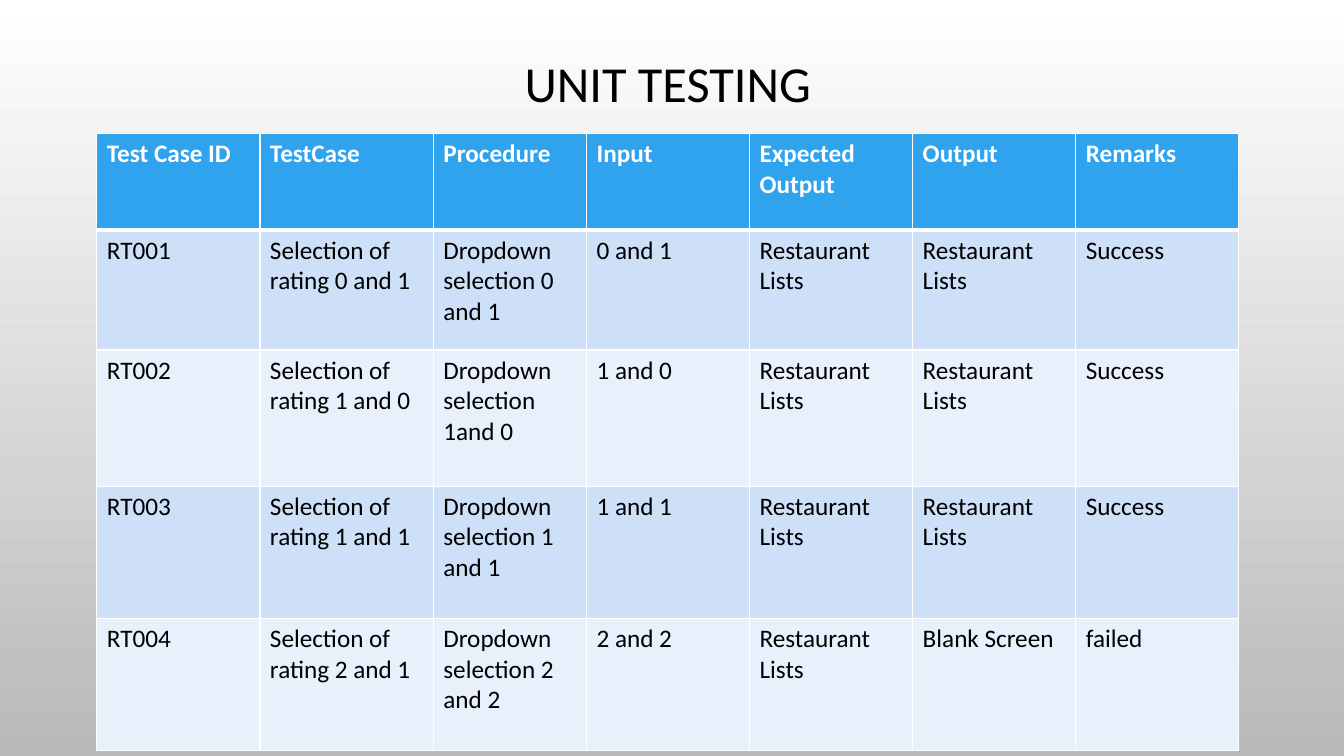
from lxml.etree import SubElement as Sub
from pptx import Presentation
from pptx.dml.color import RGBColor as Rgb
from pptx.enum.text import MSO_ANCHOR as Anchor, PP_ALIGN as Align
from pptx.oxml.ns import qn
from pptx.util import Cm, Pt

COLORS = {
    "white": "FFFFFF",
    "grey": "B9B9B9",
    "black": "000000",
    "head": "2FA3EE",
    "odd": "CDE0F8",
    "even": "E8F0FC",
}
FONT = "Calibri"
LEFT, WIDTH = 2.44, 28.78
COLS = [4.11, 4.37, 3.86] + [4.11] * 4
ROWS = [2.44, 3.02, 3.43, 3.33, 3.33]
HEADS = ["Test Case ID", "TestCase", "Procedure", "Input",
         "Expected Output", "Output", "Remarks"]
LISTS = "Restaurant Lists"
CASES = [
    ["RT001", "Selection of rating 0 and 1", "Dropdown selection 0 and 1",
     "0 and 1", LISTS, LISTS, "Success"],
    ["RT002", "Selection of rating 1 and 0", "Dropdown selection 1and 0",
     "1 and 0", LISTS, LISTS, "Success"],
    ["RT003", "Selection of rating 1 and 1", "Dropdown selection 1 and 1",
     "1 and 1", LISTS, LISTS, "Success"],
    ["RT004", "Selection of rating 2 and 1", "Dropdown selection 2 and 2",
     "2 and 2", LISTS, "Blank Screen", "failed"],
]


def tint(name):
    return Rgb.from_string(COLORS[name])


def write(frame, text, size=18, color="black", bold=False,
          align=Align.LEFT, space=1.0):
    frame.word_wrap = True
    para = frame.paragraphs[0]
    para.alignment, para.line_spacing = align, space
    run = para.add_run()
    run.text = text
    font = run.font
    font.name, font.size, font.bold = FONT, Pt(size), bold
    font.color.rgb = tint(color)


def edge(cell, top, bottom):
    """Draw white borders; top and bottom are widths in points."""
    props = cell._tc.get_or_add_tcPr()
    for side, width in zip("LRTB", (1, 1, top, bottom)):
        line = Sub(props, qn(f"a:ln{side}"), w=str(Pt(width)))
        fill = Sub(line, qn("a:solidFill"))
        Sub(fill, qn("a:srgbClr"), val=COLORS["white"])


class Deck:
    def __init__(self):
        self.show = Presentation()
        self.show.slide_width = Cm(33.87)
        self.show.slide_height = Cm(19.05)
        self.slide = self.show.slides.add_slide(self.show.slide_layouts[5])

    def back(self, start, end):
        fill = self.slide.background.fill
        fill.gradient()
        fill.gradient_angle = 270
        for stop, name, place in zip(fill.gradient_stops, (start, end), (0, 1)):
            stop.color.rgb = tint(name)
            stop.position = place

    def title(self, text):
        box = self.slide.shapes.title
        box.left, box.top = Cm(LEFT), Cm(0.94)
        box.width, box.height = Cm(WIDTH), Cm(2.44)
        box.text_frame.vertical_anchor = Anchor.MIDDLE
        write(box.text_frame, text, size=36, align=Align.CENTER, space=0.9)

    def table(self, data):
        grid = self.slide.shapes.add_table(
            len(ROWS), len(COLS), Cm(LEFT), Cm(3.36),
            Cm(WIDTH), Cm(sum(ROWS))).table
        for col, width in zip(grid.columns, COLS):
            col.width = Cm(width)
        for i, (row, height, texts) in enumerate(zip(grid.rows, ROWS, data)):
            row.height = Cm(height)
            head = i == 0
            shade = "head" if head else "odd" if i % 2 else "even"
            for cell, text in zip(row.cells, texts):
                edge(cell, top=3 if i == 1 else 1, bottom=3 if head else 1)
                cell.fill.solid()
                cell.fill.fore_color.rgb = tint(shade)
                write(cell.text_frame, text, bold=head,
                      color="white" if head else "black")


def main():
    deck = Deck()
    deck.back("white", "grey")
    deck.title("UNIT TESTING")
    deck.table([HEADS] + CASES)
    deck.show.save("out.pptx")


if __name__ == "__main__":
    main()
